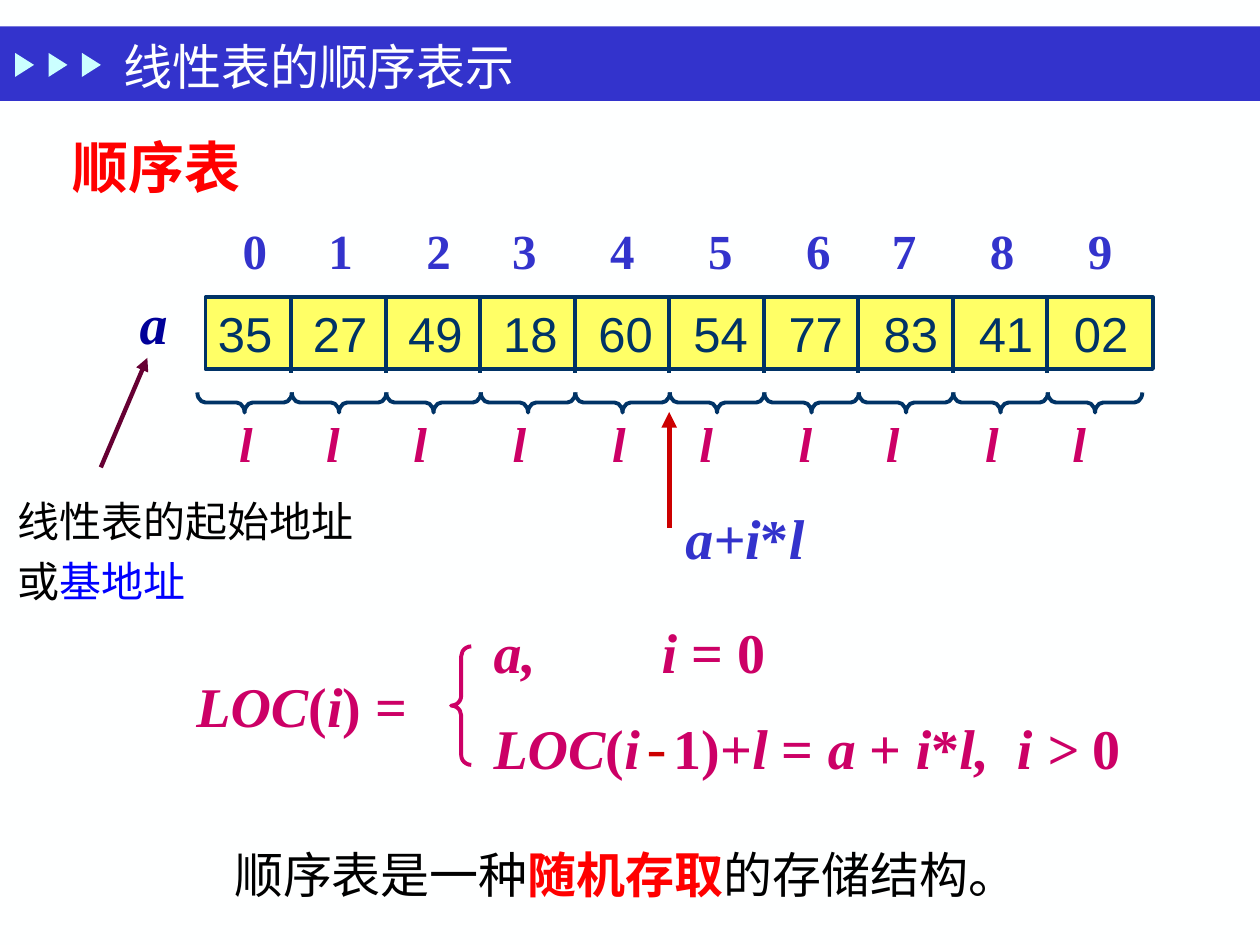
from dataclasses import dataclass
from itertools import accumulate

from lxml import etree
from pptx import Presentation
from pptx.dml.color import RGBColor
from pptx.enum.shapes import MSO_CONNECTOR, MSO_SHAPE
from pptx.enum.text import MSO_ANCHOR, PP_ALIGN
from pptx.oxml.ns import qn
from pptx.util import Pt

RECTANGLE = MSO_SHAPE.RECTANGLE
TRIANGLE = MSO_SHAPE.ISOSCELES_TRIANGLE
BRACE = MSO_SHAPE.LEFT_BRACE
STRAIGHT = MSO_CONNECTOR.STRAIGHT
LEFT = PP_ALIGN.LEFT
TOP, MIDDLE = MSO_ANCHOR.TOP, MSO_ANCHOR.MIDDLE


@dataclass(frozen=True)
class Theme:
    paper: str = "FEFFFF"
    black: str = "000000"
    banner: str = "3333CC"
    marker: str = "CBFFFF"
    cell: str = "FFFF66"
    navy: str = "003366"
    base: str = "000099"
    blue: str = "0000FF"
    red: str = "FF0000"
    dark_red: str = "CC0000"
    magenta: str = "CC0066"
    plum: str = "660033"
    serif: str = "Times New Roman"
    sans: str = "Arial"
    mono: str = "Courier New"
    chinese: str = "Noto Sans CJK SC"
    small: float = 24
    medium: float = 28
    large: float = 32
    stroke: float = 2.25


THEME = Theme()


@dataclass(frozen=True)
class Box:
    left: float
    top: float
    width: float
    height: float

    def inner(self, left, top, width, height):
        return Box(self.left + left, self.top + top, width, height)

    def points(self):
        return [Pt(value) for value in (self.left, self.top, self.width, self.height)]


def rgb(color):
    return RGBColor.from_string(color)


def write_text(shape, lines, size=THEME.medium, font=THEME.chinese, color=THEME.black,
               bold=False, italic=False, anchor=TOP, wrap=True, spacing=1, indent=0, tabs=()):
    frame = shape.text_frame
    frame.word_wrap = wrap
    frame.vertical_anchor = anchor
    frame.margin_left = Pt(7.2 + indent)
    for number, spans in enumerate(lines):
        para = frame.add_paragraph() if number else frame.paragraphs[0]
        para.alignment = LEFT
        para.line_spacing = spacing
        if tabs:
            stops = etree.SubElement(para._p.get_or_add_pPr(), qn("a:tabLst"))
            for stop in tabs:
                etree.SubElement(stops, qn("a:tab"), pos=str(int(Pt(stop))), algn="l")
        for words, changes in spans:
            look = dict(font=font, color=color, bold=bold, italic=italic) | changes
            span = para.add_run()
            span.text = words
            span.font.size = Pt(size)
            span.font.name = look["font"]
            span.font.bold = look["bold"]
            span.font.italic = look["italic"]
            span.font.color.rgb = rgb(look["color"])
            etree.SubElement(span._r.get_or_add_rPr(), qn("a:ea"), typeface=THEME.chinese)


def add_text(page, box, *lines, **look):
    write_text(page.shapes.add_textbox(*box.points()), lines, **look)


def plain(words):
    return [(words, {})]


def add_shape(page, kind, box, fill=None, line=None, rotation=0):
    shape = page.shapes.add_shape(kind, *box.points())
    shape.shadow.inherit = False
    shape.rotation = rotation
    if fill:
        shape.fill.solid()
        shape.fill.fore_color.rgb = rgb(fill)
    else:
        shape.fill.background()
    if line:
        shape.line.color.rgb = rgb(line)
        shape.line.width = Pt(THEME.stroke)
    else:
        shape.line.fill.background()
    return shape


def add_brace(page, box, color, curve, rotation=0):
    brace = add_shape(page, BRACE, box, line=color, rotation=rotation)
    brace.adjustments[0] = curve
    brace.adjustments[1] = 0.5


def add_line(page, box, start, end, color, width=THEME.stroke, arrow=False):
    ends = [Pt(value) for x, y in (start, end) for value in (box.left + x, box.top + y)]
    line = page.shapes.add_connector(STRAIGHT, *ends)
    line.line.color.rgb = rgb(color)
    line.line.width = Pt(width)
    properties = line._element.spPr
    if arrow:
        etree.SubElement(properties.get_or_add_ln(), qn("a:tailEnd"), type="triangle")
    etree.SubElement(properties, qn("a:effectLst"))


def draw_header(page, box):
    add_shape(page, RECTANGLE, box, fill=THEME.banner)
    for number in range(3):
        marker = box.inner(7.2 + 19.1 * number, 16.6, 13.7, 10.8)
        add_shape(page, TRIANGLE, marker, fill=THEME.marker, rotation=90)
    add_text(page, box.inner(63.4, -4.3, 484.6, 54), plain("线性表的顺序表示"),
             font=THEME.serif, color=THEME.paper, anchor=MIDDLE)


def draw_array(page, box):
    values = ["35", "27", "49", "18", "60", "54", "77", "83", "41", "02"]
    count = len(values)
    cells = add_shape(page, RECTANGLE, box.inner(0, 47.5, box.width, 41),
                      fill=THEME.cell, line=THEME.navy)
    write_text(cells, [plain("\t".join(values))], font=THEME.sans, color=THEME.navy,
               anchor=MIDDLE, tabs=[54.35 * place for place in range(1, count)])
    for place in range(count - 1):
        x = 49 + 54 * place
        add_line(page, box, (x, 47.5), (x, 90.7), THEME.navy)

    index_gaps = [49, 56, 49, 56, 56, 56, 49, 56, 56]
    add_text(page, box.inner(0, 0, 537.8, 41), plain("\t".join(map(str, range(count)))),
             font=THEME.serif, color=THEME.banner, bold=True, indent=14,
             tabs=list(accumulate(index_gaps)))
    for place in range(count):
        add_brace(page, box.inner(16.6 + 54 * place, 80.6, 11.5, 54), THEME.navy, 0.4, 270)
    length_gaps = [49.8, 49.8, 56.8, 56.8, 49.8, 56.8, 49.8, 56.8, 49.8]
    add_text(page, box.inner(5, 110.2, 524.2, 41), plain("\t".join("l" * count)),
             font=THEME.serif, color=THEME.magenta, bold=True, italic=True, indent=7,
             tabs=list(accumulate(length_gaps)))

    formula = dict(size=THEME.large, font=THEME.serif, bold=True, italic=True, wrap=False)
    add_text(page, box.inner(-44.6, 38.9, 31, 46), plain("a"), color=THEME.base, **formula)
    add_line(page, box, (265, 179.3), (265, 113), THEME.dark_red, 3, arrow=True)
    add_text(page, box.inner(267.1, 162, 82.8, 45.4),
             [("a+i", {}), ("*", {"italic": False}), ("l", {})], color=THEME.banner, **formula)


def draw_base_note(page, box):
    add_line(page, box, (54.7, 62.6), (81.3, 0), THEME.plum, 2.5, arrow=True)
    add_text(page, box.inner(0, 69.1, box.width, 74.2), plain("线性表的起始地址"),
             [("或", {}), ("基地址", {"color": THEME.blue})],
             size=THEME.small, spacing=1.2, wrap=False)


def draw_formula(page, box):
    slant = {"italic": True}
    minus = {"font": THEME.mono, "color": THEME.dark_red, "bold": False}
    look = dict(size=THEME.large, font=THEME.serif, color=THEME.magenta, bold=True)
    call = [("LOC", slant), ("(", {}), ("i", slant)]
    add_text(page, box.inner(0, 34.6, 162, 45.4), call + [(") =", {})], **look)
    add_brace(page, box.inner(152.7, 23.8, 11.5, 67.7), THEME.magenta, 0.49)
    add_text(page, box.inner(169.9, 3.6, 214.6, 46), [("a,\ti ", slant), ("= 0", {})],
             tabs=[96], **look)
    step = [("-", minus), ("1)+", {}), ("l", slant), (" = ", {}), ("a ", slant), ("+ ", {}),
            ("i", slant), ("*", {}), ("l,\ti > ", slant), ("0", {})]
    add_text(page, box.inner(169.9, 58.3, 388, 46), call + step, tabs=[299], **look)


def draw_heading(page, box):
    add_text(page, box, plain("顺序表"), size=THEME.large, color=THEME.red, bold=True, wrap=False)


def draw_conclusion(page, box):
    add_text(page, box, [("顺序表是一种", {}), ("随机存取", {"color": THEME.red, "bold": True}),
                         ("的存储结构。", {})], wrap=False)


def main():
    deck = Presentation()
    deck.slide_width, deck.slide_height = Pt(720), Pt(540)
    page = deck.slides.add_slide(deck.slide_layouts[6])
    page.background.fill.solid()
    page.background.fill.fore_color.rgb = rgb(THEME.paper)
    draw_header(page, Box(0, 15.1, 720, 42.5))
    draw_heading(page, Box(34.6, 72, 111.6, 46))
    draw_array(page, Box(117.4, 122.4, 541.4, 207.4))
    draw_base_note(page, Box(2.9, 204.5, 208, 143.3))
    draw_formula(page, Box(105.1, 345.6, 558, 105))
    draw_conclusion(page, Box(126.7, 478.8, 466.6, 41))
    deck.save("out.pptx")


if __name__ == "__main__":
    main()
